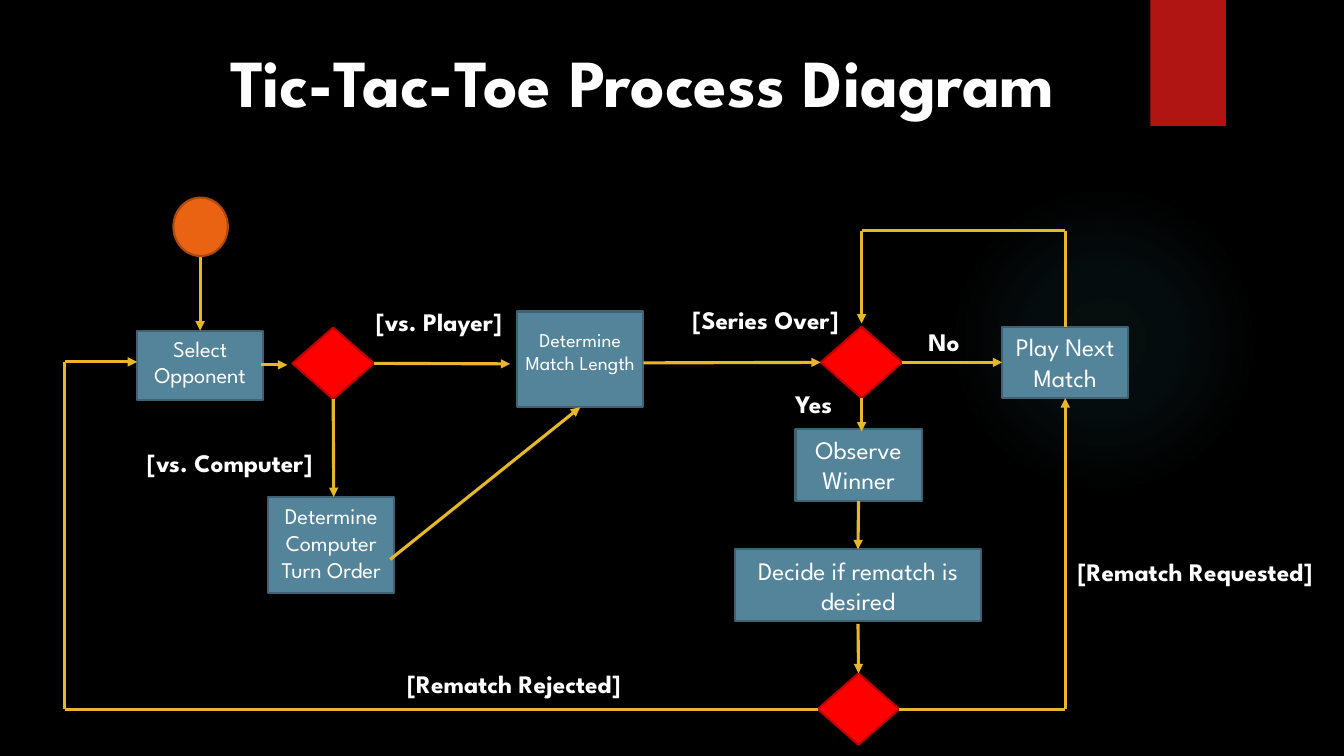
from dataclasses import dataclass

from lxml import etree
from pptx import Presentation
from pptx import util as u
from pptx.dml.color import RGBColor
from pptx.enum import shapes, text
from pptx.oxml import parse_xml
from pptx.oxml.ns import nsdecls, qn

TOP, LEFT, BOTTOM, RIGHT = range(4)


@dataclass(frozen=True)
class Theme:
    """Colours and type sizes of the slide."""
    font: str = "League Spartan"
    back: str = "000000"
    ink: str = "FFFFFF"
    ribbon: str = "B01513"
    glow: str = "50B9C1"
    start: tuple = ("EA6312", "AD490D")
    step: tuple = ("54849A", "3E6272")
    choice: tuple = ("FF0000", "C00000")
    arrow: str = "E6B729"
    title: int = 48
    large: int = 18
    medium: int = 16
    small: int = 14
    outline: float = 1.5
    stroke: float = 2.25


class Flowchart:
    """Draws flowchart parts on one slide, measured in columns and rows of a tenth of an inch."""

    def __init__(self, deck, theme):
        self.theme = theme
        self.page = deck.slides.add_slide(deck.slide_layouts[5])
        self.page.background.fill.solid()
        self.page.background.fill.fore_color.rgb = RGBColor.from_string(theme.back)

    def cells(self, *counts):
        return [u.Inches(count / 10) for count in counts]

    def set_text(self, box, lines, size, bold=False, align=text.PP_ALIGN.CENTER, sides=1, top=0.5):
        frame = box.text_frame
        frame.text = lines
        frame.word_wrap = True
        frame.auto_size = text.MSO_AUTO_SIZE.NONE
        frame.vertical_anchor = text.MSO_ANCHOR.TOP
        frame.margin_left, frame.margin_right, frame.margin_top = self.cells(sides, sides, top)
        for para in frame.paragraphs:
            para.alignment = align
            para.font.name = self.theme.font
            para.font.size = u.Pt(size)
            para.font.bold = bold
            para.font.color.rgb = RGBColor.from_string(self.theme.ink)

    def title(self, area, words):
        box = self.page.shapes.title
        box.left, box.top, box.width, box.height = self.cells(*area)
        self.set_text(box, words, self.theme.title, bold=True)

    def shape(self, kind, area, fill, line=None):
        box = self.page.shapes.add_shape(kind, *self.cells(*area))
        box.shadow.inherit = False
        box.fill.solid()
        box.fill.fore_color.rgb = RGBColor.from_string(fill)
        if line:
            box.line.color.rgb = RGBColor.from_string(line)
            box.line.width = u.Pt(self.theme.outline)
        else:
            box.line.fill.background()
        return box

    def glow(self, area):
        box = self.shape(shapes.MSO_SHAPE.OVAL, area, self.theme.glow)
        stops = "".join(
            f'<a:gs pos="{spot * 1000}"><a:srgbClr val="{self.theme.glow}">'
            f'<a:alpha val="{alpha * 1000}"/></a:srgbClr></a:gs>'
            for spot, alpha in ((0, 7), (36, 6), (69, 0), (100, 0)))
        gradient = parse_xml(
            f'<a:gradFill {nsdecls("a")}><a:gsLst>{stops}</a:gsLst><a:path path="circle">'
            '<a:fillToRect l="50000" t="50000" r="50000" b="50000"/></a:path></a:gradFill>')
        properties = box.element.spPr
        properties.replace(properties.find(qn("a:solidFill")), gradient)

    def step(self, area, lines, size, top=0.5):
        box = self.shape(shapes.MSO_SHAPE.FLOWCHART_PROCESS, area, *self.theme.step)
        self.set_text(box, lines, size, sides=0.3, top=top)
        return box

    def choice(self, column, row):
        area = (column, row, 8.1, 7.1)
        return self.shape(shapes.MSO_SHAPE.FLOWCHART_DECISION, area, *self.theme.choice)

    def label(self, area, words):
        box = self.page.shapes.add_textbox(*self.cells(*area))
        self.set_text(box, words, self.theme.large, bold=True, align=text.PP_ALIGN.LEFT)

    def link(self, start, end, head=True):
        """Joins two ends, each a (column, row) point or a (box, side) pair."""
        points = [(0, 0) if hasattr(part[0], "shape_id") else part for part in (start, end)]
        line = self.page.shapes.add_connector(
            shapes.MSO_CONNECTOR.STRAIGHT, *self.cells(*points[0], *points[1]))
        for part, connect in ((start, line.begin_connect), (end, line.end_connect)):
            if hasattr(part[0], "shape_id"):
                connect(*part)
        line.line.color.rgb = RGBColor.from_string(self.theme.arrow)
        line.line.width = u.Pt(self.theme.stroke)
        properties = line.element.spPr
        if head:
            etree.SubElement(properties.find(qn("a:ln")), qn("a:tailEnd"), type="triangle")
        etree.SubElement(properties, qn("a:effectLst"))

    def route(self, *stops):
        for index, (start, end) in enumerate(zip(stops, stops[1:]), 2):
            self.link(start, end, head=index == len(stops))


def main():
    deck = Presentation()
    deck.slide_width, deck.slide_height = u.Inches(13.33), u.Inches(7.5)
    theme = Theme()
    chart = Flowchart(deck, theme)

    chart.glow((94.1, 18.3, 30.8, 30.8))
    chart.shape(shapes.MSO_SHAPE.RECTANGLE, (114.1, 0, 7.5, 12.5), theme.ribbon)
    chart.title((18.5, 3.5, 90.5, 17.2), "Tic-Tac-Toe Process Diagram")

    chart.shape(shapes.MSO_SHAPE.OVAL, (17.2, 19.6, 5.4, 5.8), *theme.start)
    select = chart.step((13.6, 32.8, 12.5, 6.9), "Select Opponent", theme.medium, top=0.4)
    length = chart.step((51.3, 30.9, 12.5, 9.5), "Determine Match Length", theme.small, top=1.6)
    chart.step((26.6, 49.3, 12.5, 9.5), "Determine Computer Turn Order", theme.medium)
    following = chart.step((99.4, 32.4, 12.5, 7.1), "Play Next\nMatch", theme.large)
    observe = chart.step((78.9, 42.6, 12.5, 7.1), "Observe Winner", theme.large)
    decide = chart.step((72.9, 54.5, 24.4, 7.1), "Decide if rematch is desired", theme.large, top=0.6)
    opponent = chart.choice(29, 32.5)
    series = chart.choice(81.4, 32.4)
    rematch = chart.choice(81.1, 66.8)

    chart.link((19.85, 25.5), (select, TOP))
    chart.link((25.9, 36.2), (28.5, 36.2))
    chart.link((opponent, RIGHT), (50.6, 36.1))
    chart.link((opponent, BOTTOM), (33.1, 49.3))
    chart.link((38.7, 55.5), (length, BOTTOM))
    chart.link((63.8, 36), (series, LEFT))
    chart.link((series, RIGHT), (following, LEFT))
    chart.route((following, TOP), (105.65, 22.9), (85.45, 22.9), (85.45, 32.1))
    chart.link((series, BOTTOM), (85.45, 42.8))
    chart.link((observe, BOTTOM), (decide, TOP))
    chart.link((85.1, 61.9), (rematch, TOP))
    chart.route((rematch, RIGHT), (105.65, 70.35), (following, BOTTOM))
    chart.route((rematch, LEFT), (6.4, 70.35), (6.4, 35.9), (13.6, 35.9))

    for area, words in (
            ((13.6, 43.9, 24.4, 4), "[vs. Computer]"),
            ((36.3, 29.9, 24.4, 4), "[vs. Player]"),
            ((67.7, 29.7, 24.4, 4), "[Series Over]"),
            ((77.9, 38, 6.8, 4), "Yes"),
            ((91.1, 31.9, 6.8, 4), "No"),
            ((39.4, 65.8, 27.9, 4), "[Rematch Rejected]"),
            ((105.9, 54.7, 27.9, 7.1), "[Rematch Requested]")):
        chart.label(area, words)

    deck.save("out.pptx")


if __name__ == "__main__":
    main()
